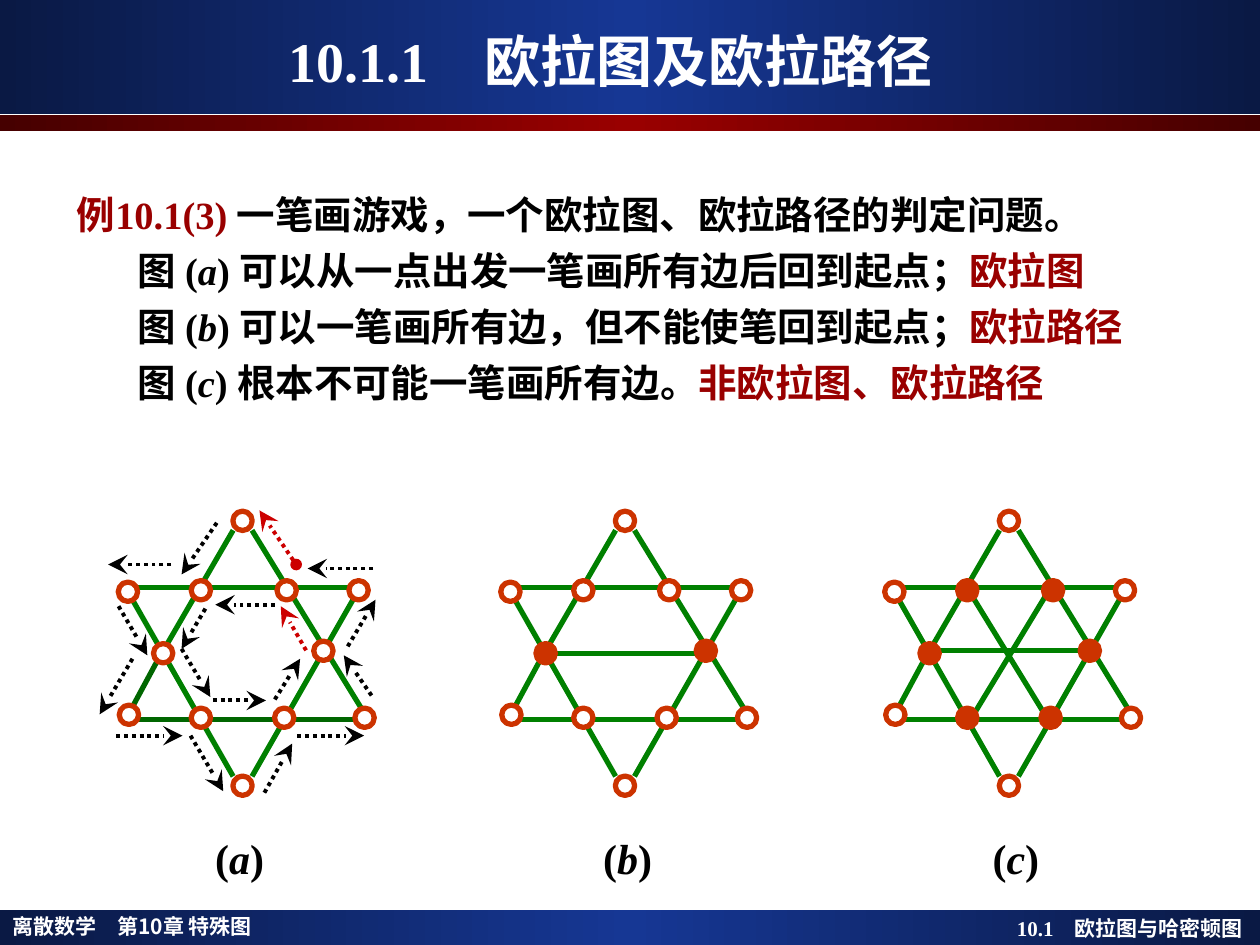
from copy import deepcopy
from dataclasses import dataclass

from lxml import etree
from pptx import Presentation
from pptx.dml.color import RGBColor
from pptx.enum.dml import MSO_LINE
from pptx.enum.shapes import MSO_CONNECTOR, MSO_SHAPE
from pptx.enum.text import MSO_ANCHOR, PP_ALIGN
from pptx.oxml.ns import qn
from pptx.util import Cm, Pt

STRAIGHT = MSO_CONNECTOR.STRAIGHT
RECTANGLE, OVAL = MSO_SHAPE.RECTANGLE, MSO_SHAPE.OVAL
DOTTED = MSO_LINE.ROUND_DOT
LEFT, CENTER, RIGHT = PP_ALIGN.LEFT, PP_ALIGN.CENTER, PP_ALIGN.RIGHT
TOP, MIDDLE = MSO_ANCHOR.TOP, MSO_ANCHOR.MIDDLE


@dataclass(frozen=True)
class Theme:
    latin: str = "Times New Roman"
    chinese: str = "Noto Sans CJK JP"
    white: str = "FFFFFF"
    black: str = "000000"
    accent: str = "990000"
    accent_dark: str = "460000"
    navy: str = "163794"
    navy_dark: str = "0A1944"
    edge: str = "008000"
    edge_dark: str = "006600"
    node: str = "CC3300"
    route: str = "CC0000"
    title_size: float = 32
    caption_size: float = 24
    body_size: float = 22
    footer_size: float = 12
    edge_width: float = 3
    arrow_width: float = 2.25


THEME = Theme()
NODE_SIZE = 0.39

# Star geometry in cm, as placed for figure (a).
NODES = {
    "top": (4.89, 10.5), "bottom": (4.89, 15.84),
    "upper 1": (2.58, 11.93), "upper 2": (4.05, 11.9),
    "upper 3": (5.78, 11.9), "upper 4": (7.23, 11.9),
    "left": (3.29, 13.17), "right": (6.52, 13.12),
    "lower 1": (2.6, 14.41), "lower 2": (4.05, 14.47),
    "lower 3": (5.73, 14.47), "lower 4": (7.35, 14.47),
}
EDGES = [
    (4.7, 10.69, 3.15, 13.36), (2.67, 12.09, 4.7, 15.65),
    (2.74, 11.84, 7.42, 11.84), (7.19, 11.96, 5.08, 15.65),
    (5.08, 10.69, 7.42, 14.5),
]
LOWER_EDGES = [(2.74, 14.5, 7.42, 14.5), (3.15, 13.36, 2.67, 14.25)]
CHORD_B = [(3.44, 13.18, 6.34, 13.18)]
CHORDS_C = [(3.4, 13.11, 6.29, 13.11), (4.21, 14.35, 5.61, 12.04),
            (4.18, 12.07, 5.58, 14.35)]
INNER_C = {"upper 2", "upper 3", "left", "right", "lower 2", "lower 3"}

FIRST_STEP = (5.97, 11.38, 5.23, 10.29)
LAST_STEP = (6.17, 13.11, 5.66, 12.22)
STEPS = [
    (4.37, 10.54, 3.66, 11.58), (3.45, 11.38, 2.18, 11.38),
    (2.39, 12.22, 2.97, 13.21), (2.67, 13.28, 2.01, 14.4),
    (2.34, 14.83, 3.68, 14.83), (3.84, 14.83, 4.5, 15.95),
    (5.33, 15.98, 5.89, 14.99), (5.99, 14.83, 7.34, 14.83),
    (7.49, 14.02, 6.93, 13.21), (7.01, 13.03, 7.57, 12.09),
    (7.52, 11.46, 6.2, 11.46), (5.54, 12.19, 4.34, 12.19),
    (4.14, 12.27, 3.66, 13.08), (3.66, 13.08, 4.24, 14.05),
    (4.29, 14.12, 5.36, 14.12), (5.54, 14.1, 6.05, 13.28),
]


def rgb(color):
    return RGBColor.from_string(color)


def add_text(page, paragraphs, *, at, size, color=THEME.black, font=THEME.latin,
             align=LEFT, anchor=TOP, wrap=True, space=0, line=None, indent=0):
    """Each paragraph is a list of spans (text, italic, colour or None);
    space and indent apply from the second paragraph on."""
    box = page.shapes.add_textbox(*(Cm(length) for length in at))
    frame = box.text_frame
    frame.word_wrap = wrap
    frame.vertical_anchor = anchor
    for index, spans in enumerate(paragraphs):
        para = frame.paragraphs[0] if index == 0 else frame.add_paragraph()
        para.alignment = align
        para.line_spacing = line
        if index:
            para.space_before = Pt(space)
            para._p.get_or_add_pPr().set("marL", str(Cm(indent)))
        for text, italic, span_color in spans:
            span = para.add_run()
            span.text = text
            span.font.name = font
            span.font.size = Pt(size)
            span.font.bold = True
            span.font.italic = italic
            span.font.color.rgb = rgb(span_color or color)


def add_band(page, top, height, edge_color, middle_color):
    """Full-width bar that is brightest in the middle."""
    band = page.shapes.add_shape(RECTANGLE, 0, Cm(top), Cm(25.4), Cm(height))
    band.shadow.inherit = False
    band.line.fill.background()
    band.fill.gradient()
    band.fill.gradient_angle = 0
    stops = band._element.spPr.find(".//" + qn("a:gsLst"))
    stops.insert(1, deepcopy(stops[0]))
    colors = (edge_color, middle_color, edge_color)
    for stop, position, color in zip(band.fill.gradient_stops, (0, 0.5, 1), colors):
        stop.position = position
        stop.color.rgb = rgb(color)


def add_line(shapes, ends, color, width, shift=0):
    x1, y1, x2, y2 = ends
    line = shapes.add_connector(STRAIGHT, Cm(x1 + shift), Cm(y1), Cm(x2 + shift), Cm(y2))
    line.line.color.rgb = rgb(color)
    line.line.width = Pt(width)
    etree.SubElement(line._element.spPr, qn("a:effectLst"))
    return line


def add_step(page, ends, color=THEME.black, starts_with_dot=False):
    """Dotted arrow for one step of the walk."""
    arrow = add_line(page.shapes, ends, color, THEME.arrow_width)
    arrow.line.dash_style = DOTTED
    outline = arrow._element.spPr.find(qn("a:ln"))
    if starts_with_dot:
        etree.SubElement(outline, qn("a:headEnd"), type="oval")
    etree.SubElement(outline, qn("a:tailEnd"), type="stealth", w="lg", len="lg")


def add_node(shapes, center, filled, shift):
    x, y = (value - NODE_SIZE / 2 for value in center)
    node = shapes.add_shape(OVAL, Cm(x + shift), Cm(y), Cm(NODE_SIZE), Cm(NODE_SIZE))
    node.shadow.inherit = False
    node.fill.solid()
    node.fill.fore_color.rgb = rgb(THEME.node if filled else THEME.white)
    node.line.color.rgb = rgb(THEME.node)
    node.line.width = Pt(THEME.edge_width)


def add_star(page, shift, chords=(), filled=(), lower_color=THEME.edge):
    shapes = page.shapes.add_group_shape().shapes
    for edge in [*chords, *EDGES]:
        add_line(shapes, edge, THEME.edge, THEME.edge_width, shift)
    for edge in LOWER_EDGES:
        add_line(shapes, edge, lower_color, THEME.edge_width, shift)
    for name, center in NODES.items():
        add_node(shapes, center, name in filled, shift)


def case(letter, statement, verdict):
    return [("图 (", False, None), (letter, True, None),
            (") " + statement, False, None), (verdict, False, THEME.accent)]


def main():
    deck = Presentation()
    deck.slide_width, deck.slide_height = Cm(25.4), Cm(19.05)
    page = deck.slides.add_slide(deck.slide_layouts[6])

    add_band(page, 18.34, 0.71, THEME.navy_dark, THEME.navy)
    add_band(page, 0, 2.31, THEME.navy_dark, THEME.navy)
    add_band(page, 2.31, 0.34, THEME.accent_dark, THEME.accent)

    add_text(page, [[("离散数学　第10章 特殊图", False, None)]],
             at=(0, 18.34, 10.49, 0.71), size=THEME.footer_size,
             color=THEME.white, font=THEME.chinese, line=0.9)
    add_text(page, [[("10.1　欧拉图与哈密顿图", False, None)]],
             at=(18.9, 18.34, 6.4, 0.76), size=THEME.footer_size,
             color=THEME.white, align=RIGHT)
    add_text(page, [[("10.1.1　欧拉图及欧拉路径", False, None)]],
             at=(0.84, 0.43, 22.94, 1.57), size=THEME.title_size,
             color=THEME.white, align=CENTER, anchor=MIDDLE)
    example = [
        [("例10.1(3) ", False, THEME.accent),
         ("一笔画游戏，一个欧拉图、欧拉路径的判定问题。", False, None)],
        case("a", "可以从一点出发一笔画所有边后回到起点；", "欧拉图"),
        case("b", "可以一笔画所有边，但不能使笔回到起点；", "欧拉路径"),
        case("c", "根本不可能一笔画所有边。", "非欧拉图、欧拉路径"),
    ]
    add_text(page, example, at=(1.3, 3.73, 24.1, 6.22), size=THEME.body_size,
             space=5.5, indent=1.23)

    for letter, left in zip("abc", (4.09, 11.91, 19.76)):
        add_text(page, [[("(", False, None), (letter, True, None), (")", False, None)]],
                 at=(left, 16.66, 1.5, 1.27), size=THEME.caption_size, wrap=False)

    add_star(page, 0, lower_color=THEME.edge_dark)
    add_star(page, 7.71, CHORD_B, {"left", "right"})
    add_star(page, 15.45, CHORDS_C, INNER_C)

    add_step(page, FIRST_STEP, THEME.route, starts_with_dot=True)
    for step in STEPS:
        add_step(page, step)
    add_step(page, LAST_STEP, THEME.route)
    deck.save("out.pptx")


if __name__ == "__main__":
    main()
